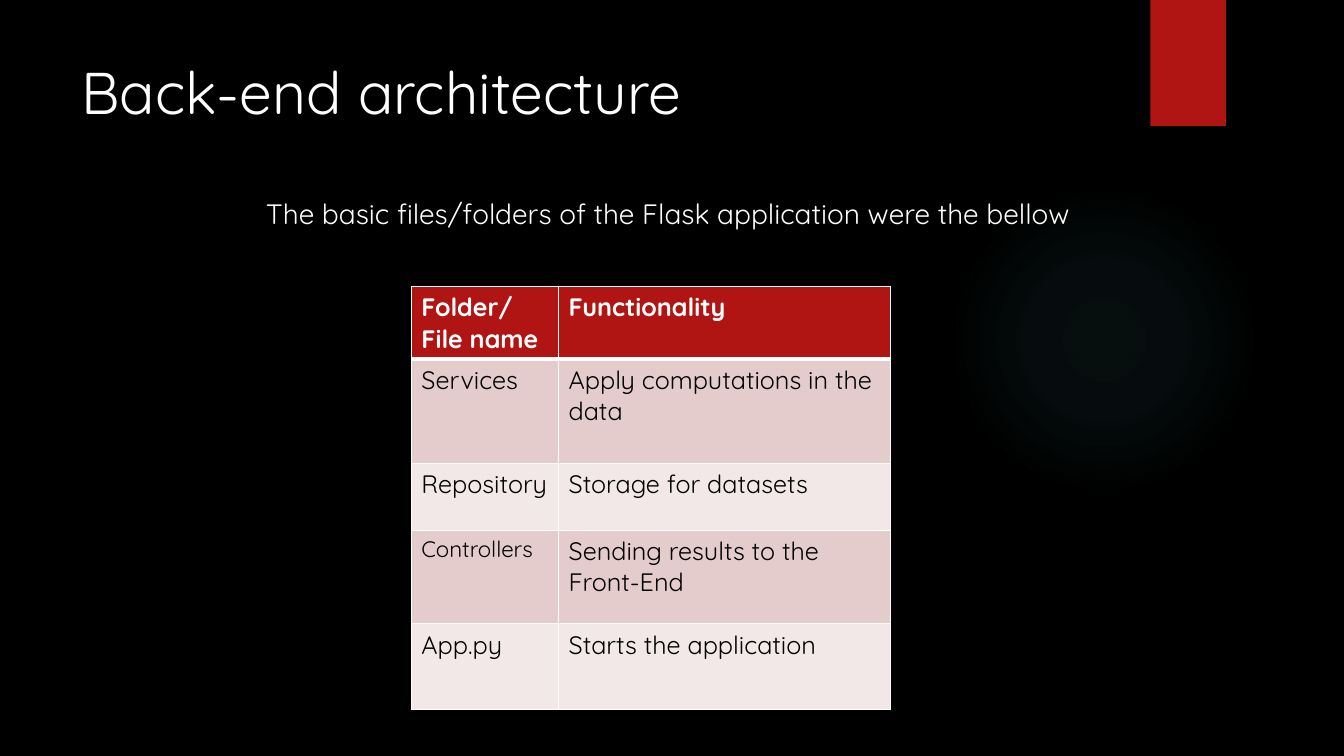
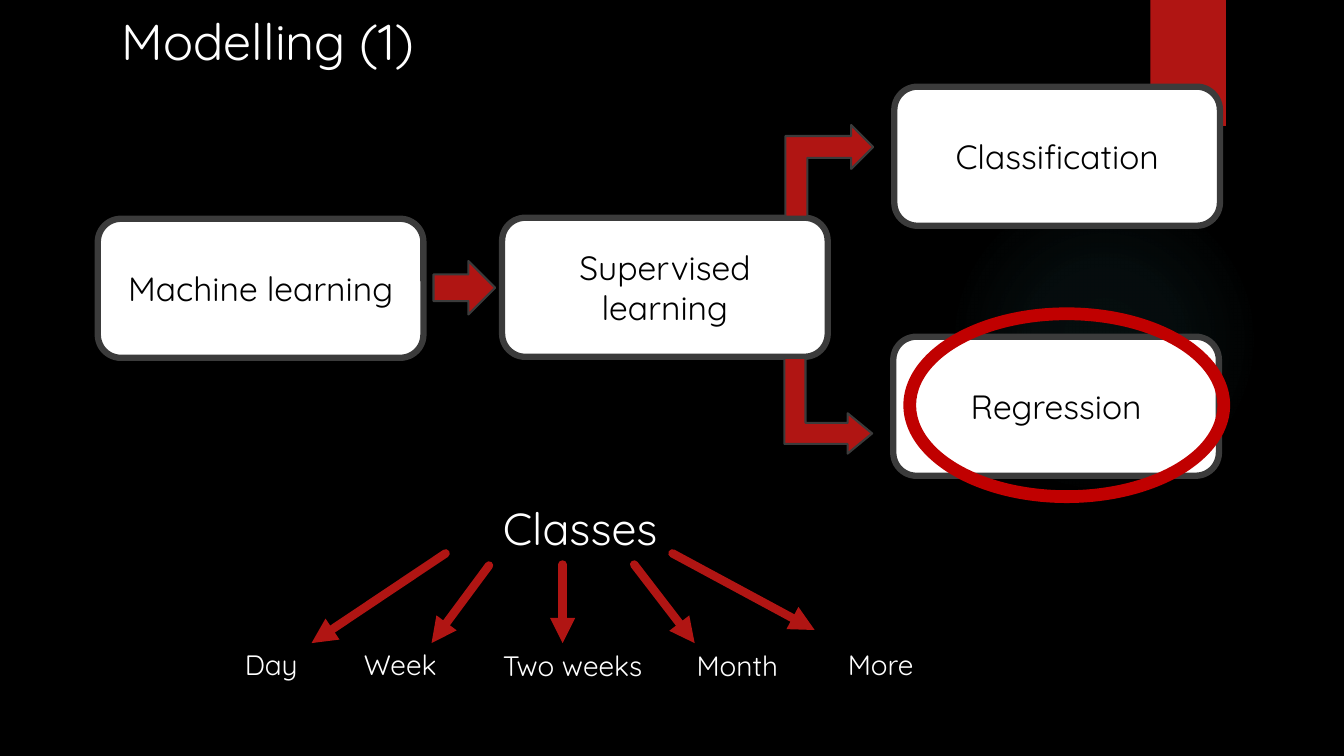
"""Build two dark slides: a back-end file table and a modelling diagram."""
from lxml import etree
from pptx import Presentation
from pptx.dml.color import RGBColor
from pptx.enum.shapes import MSO_CONNECTOR, MSO_SHAPE as SHAPE
from pptx.enum.text import MSO_ANCHOR, PP_ALIGN as ALIGN
from pptx.oxml.ns import qn
from pptx.util import Inches, Pt

FONT = "Quicksand"
BLACK, WHITE, RED, GREY = "000000", "FFFFFF", "B01513", "3B3B3B"
RING_RED, GLOW = "C00000", "50B9C1"
BAND_DARK, BAND_LIGHT = "E4CCCC", "F2E8E7"
rgb = RGBColor.from_string


def write(tf, text, size, color=WHITE, bold=False, align=ALIGN.LEFT, wrap=True):
    tf.text = text
    tf.word_wrap = wrap
    p = tf.paragraphs[0]
    p.alignment = align
    for r in p.runs:
        r.font.name = FONT
        r.font.size = Pt(size)
        r.font.bold = bold
        r.font.color.rgb = rgb(color)


def add_shape(s, kind, box, fill, line=None, width=1.5, adj=()):
    sp = s.shapes.add_shape(kind, *map(Inches, box))
    sp.shadow.inherit = False
    sp.fill.solid()
    sp.fill.fore_color.rgb = rgb(fill)
    if line:
        sp.line.color.rgb = rgb(line)
        sp.line.width = Pt(width)
    else:
        sp.line.fill.background()
    for i, value in enumerate(adj):
        sp.adjustments[i] = value
    return sp


prs = Presentation()
prs.slide_width, prs.slide_height = Inches(13.33), Inches(7.5)
bg = prs.slide_master.background.fill
bg.solid()
bg.fore_color.rgb = rgb(BLACK)

titles = [
    ("Back-end architecture", 42, (0.71, 0.5, 10.29, 1.53)),
    ("Modelling (1)", 36, (1.11, 0.05, 3.42, 0.71)),
]
for title, size, box in titles:
    s = prs.slides.add_slide(prs.slide_layouts[6])
    glow = add_shape(s, SHAPE.OVAL, (9.41, 1.83, 3.08, 3.08), GLOW)
    solid = glow.element.spPr.find(qn("a:solidFill"))
    grad = etree.Element(qn("a:gradFill"), rotWithShape="1")
    stops = etree.SubElement(grad, qn("a:gsLst"))
    for pos, alpha in [(0, 7), (36, 6), (69, 0), (100, 0)]:
        stop = etree.SubElement(stops, qn("a:gs"), pos=str(pos * 1000))
        color = etree.SubElement(stop, qn("a:srgbClr"), val=GLOW)
        etree.SubElement(color, qn("a:alpha"), val=str(alpha * 1000))
    radial = etree.SubElement(grad, qn("a:path"))
    radial.set("path", "circle")
    etree.SubElement(radial, qn("a:fillToRect"), dict.fromkeys("ltrb", "50000"))
    solid.getparent().replace(solid, grad)
    add_shape(s, SHAPE.RECTANGLE, (11.41, 0, 0.75, 1.25), RED)
    tb = s.shapes.add_textbox(*map(Inches, box))
    write(tb.text_frame, title, size)

backend, modelling = prs.slides

tb = backend.shapes.add_textbox(Inches(1.21), Inches(1.9), Inches(10.83), Inches(0.5))
write(tb.text_frame, "The basic files/folders of the Flask application were the bellow",
      20, align=ALIGN.CENTER)

rows = [
    ("Folder/File name", "Functionality"),
    ("Services", "Apply computations in the data"),
    ("Repository", "Storage for datasets"),
    ("Controllers", "Sending results to the Front-End"),
    ("App.py", "Starts the application"),
]
heights = [0.72, 1.04, 0.66, 0.93, 0.85]
table = backend.shapes.add_table(len(rows), 2, Inches(4.08), Inches(2.84),
                                 Inches(4.75), Inches(sum(heights))).table
for column, width in zip(table.columns, (1.46, 3.29)):
    column.width = Inches(width)
for i, (row, height) in enumerate(zip(rows, heights)):
    table.rows[i].height = Inches(height)
    for j, text in enumerate(row):
        cell = table.cell(i, j)
        header = i == 0
        write(cell.text_frame, text, 16 if text == "Controllers" else 18,
              WHITE if header else BLACK, bold=header)
        tcPr = cell._tc.get_or_add_tcPr()
        for side in "LRTB":
            thick = (i, side) in [(0, "B"), (1, "T")]
            ln = etree.SubElement(tcPr, qn("a:ln" + side), w=str(Pt(3 if thick else 1)))
            fill = etree.SubElement(ln, qn("a:solidFill"))
            etree.SubElement(fill, qn("a:srgbClr"), val=WHITE)
        cell.fill.solid()
        cell.fill.fore_color.rgb = rgb(RED if header else BAND_DARK if i % 2 else BAND_LIGHT)

boxes = [
    ("Regression", 8.86, 3.34),
    ("Supervised learning", 4.98, 2.16),
    ("Classification", 8.87, 0.86),
    ("Machine learning", 0.97, 2.17),
]
for text, x, y in boxes:
    sp = add_shape(modelling, SHAPE.ROUNDED_RECTANGLE, (x, y, 3.23, 1.38), WHITE, GREY, 4.5)
    write(sp.text_frame, text, 24, BLACK, align=ALIGN.CENTER)
    sp.text_frame.vertical_anchor = MSO_ANCHOR.MIDDLE

add_shape(modelling, SHAPE.RIGHT_ARROW, (4.3, 2.59, 0.61, 0.53), RED, GREY)
add_shape(modelling, SHAPE.BENT_ARROW, (7.79, 1.24, 0.87, 0.91), RED, GREY,
          adj=(0.25, 0.25, 0.25, 0))
down_arrow = add_shape(modelling, SHAPE.BENT_UP_ARROW, (7.74, 3.59, 0.95, 0.87), RED, GREY,
                       adj=(0.24, 0.23, 0.28))
down_arrow.rotation = 90
add_shape(modelling, SHAPE.DONUT, (8.97, 3.06, 3.22, 1.92), RING_RED, RING_RED, adj=(0.055,))

labels = [
    ("Classes", 32, (4.89, 4.92, 1.77, 0.64)),
    ("Day", 20, (2.33, 6.37, 0.75, 0.44)),
    ("Week", 20, (3.51, 6.37, 0.98, 0.44)),
    ("Two weeks", 20, (4.89, 6.38, 1.66, 0.44)),
    ("Month", 20, (6.81, 6.38, 1.08, 0.44)),
    ("More", 20, (8.31, 6.37, 0.91, 0.44)),
]
for text, size, box in labels:
    tb = modelling.shapes.add_textbox(*map(Inches, box))
    write(tb.text_frame, text, size, wrap=False)

arrows = [
    (4.42, 5.49, 3.09, 6.38),
    (4.85, 5.61, 4.28, 6.38),
    (5.58, 5.6, 5.58, 6.38),
    (6.29, 5.6, 6.89, 6.38),
    (6.67, 5.49, 8.08, 6.25),
]
for ends in arrows:
    arrow = modelling.shapes.add_connector(MSO_CONNECTOR.STRAIGHT, *map(Inches, ends))
    arrow.line.color.rgb = rgb(RED)
    arrow.line.width = Pt(6)
    spPr = arrow._element.spPr
    ln = spPr.find(qn("a:ln"))
    ln.set("cap", "rnd")
    etree.SubElement(ln, qn("a:tailEnd"), type="triangle")
    etree.SubElement(spPr, qn("a:effectLst"))

prs.save("out.pptx")
